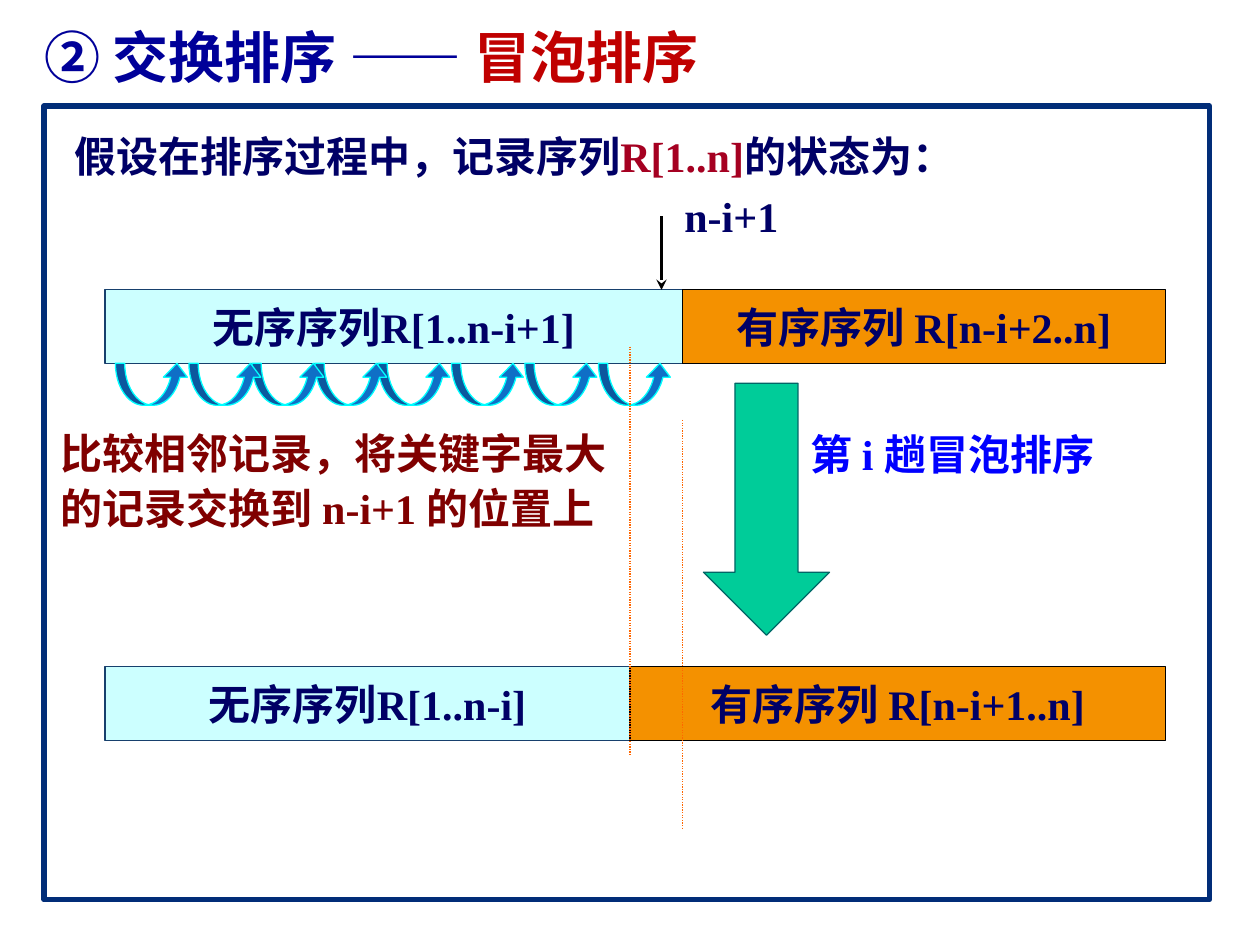
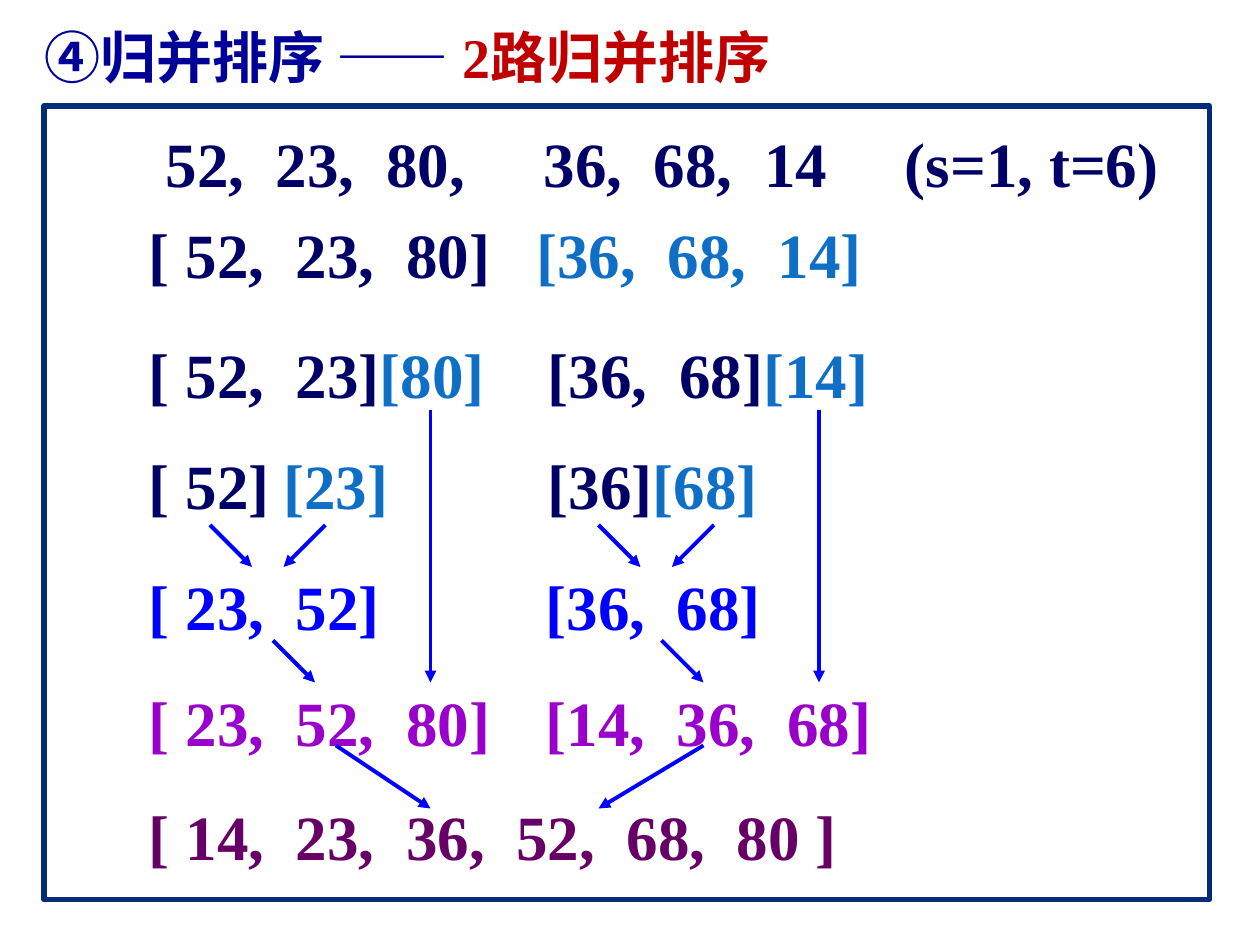
from dataclasses import dataclass

from lxml.etree import SubElement
from pptx import Presentation
from pptx.dml.color import RGBColor
from pptx.enum.dml import MSO_LINE
from pptx.enum.lang import MSO_LANGUAGE_ID as Language
from pptx.enum.shapes import MSO_CONNECTOR as Connector, MSO_SHAPE as Shape
from pptx.enum.text import MSO_ANCHOR as Anchor, MSO_AUTO_SIZE as AutoSize, PP_ALIGN as Align
from pptx.oxml.ns import qn
from pptx.util import Inches, Pt

FONT = "Times New Roman"
WHITE = RGBColor(0xFF, 0xFF, 0xFF)
BLACK = RGBColor(0, 0, 0)
FRAME_BLUE = RGBColor(0x01, 0x2D, 0x78)
TITLE_BLUE = RGBColor(0, 0, 0x99)
TITLE_RED = RGBColor(0xC0, 0, 0)
NAVY = RGBColor(0, 0, 0x66)
CRIMSON = RGBColor(0xA5, 0, 0x21)
MAROON = RGBColor(0x80, 0, 0)
BRIGHT_BLUE = RGBColor(0, 0, 0xFF)
MID_BLUE = RGBColor(0x0F, 0x6F, 0xC6)
VIOLET = RGBColor(0x99, 0, 0xCC)
PLUM = RGBColor(0x66, 0, 0x66)
PALE_CYAN = RGBColor(0xCC, 0xFF, 0xFF)
CYAN = RGBColor(0, 0xFF, 0xFF)
STEEL = RGBColor(0x17, 0x40, 0x6D)
ORANGE = RGBColor(0xF4, 0x91, 0)
GUIDE_ORANGE = RGBColor(0xFF, 0x66, 0)
GREEN = RGBColor(0, 0xCC, 0x99)
DARK_GREEN = RGBColor(0, 0x66, 0x66)

COLUMNS, ROWS = 120, 90
WIDTH, HEIGHT = Inches(10), Inches(7.5)


def column(count):
    return round(WIDTH * count / COLUMNS)


def row(count):
    return round(HEIGHT * count / ROWS)


@dataclass
class Box:
    left: float
    top: float
    width: float
    height: float

    def inner(self, left, top, width, height):
        return Box(self.left + left, self.top + top, width, height)

    def point(self, left, top):
        return column(self.left + left), row(self.top + top)

    def place(self):
        return column(self.left), row(self.top), column(self.width), row(self.height)


TITLE = Box(4.2, 1.6, 111, 7.4)
BOARD = Box(4.2, 10.1, 111, 75.6)
BAR_HEIGHT = 7


def write(para, pieces, size):
    for text, colour in pieces:
        span = para.add_run()
        span.text = text
        span.font.name = FONT
        span.font.size = Pt(size)
        span.font.bold = True
        span.font.color.rgb = colour
        span.font.language_id = Language.SIMPLIFIED_CHINESE


def add_text(page, box, pieces, size=24, spacing=None, wrap=False, tabs=()):
    frame = page.shapes.add_textbox(*box.place()).text_frame
    frame.word_wrap = wrap
    frame.auto_size = AutoSize.SHAPE_TO_FIT_TEXT
    para = frame.paragraphs[0]
    if spacing:
        para.line_spacing = spacing
    if tabs:
        stops = SubElement(para._p.get_or_add_pPr(), qn("a:tabLst"))
        for stop in tabs:
            SubElement(stops, qn("a:tab"), pos=str(column(stop)), algn="l")
    write(para, pieces, size)


def add_block(page, kind, box, fill, line, weight=0.75, label=None):
    block = page.shapes.add_shape(kind, *box.place())
    block.shadow.inherit = False
    block.fill.solid()
    block.fill.fore_color.rgb = fill
    block.line.color.rgb = line
    block.line.width = Pt(weight)
    if label:
        frame = block.text_frame
        frame.word_wrap = False
        frame.vertical_anchor = Anchor.MIDDLE
        frame.paragraphs[0].alignment = Align.CENTER
        write(frame.paragraphs[0], [(label, NAVY)], 24)
    return block


def add_line(page, start, end, colour, weight, head=None, dash=None):
    line = page.shapes.add_connector(Connector.STRAIGHT, *start, *end)
    line.line.color.rgb = colour
    line.line.width = Pt(weight)
    if dash:
        line.line.dash_style = dash
    properties = line._element.spPr
    if head:
        SubElement(properties.get_or_add_ln(), qn("a:tailEnd"), type=head)
    SubElement(properties, qn("a:effectLst"))


def add_page(deck, topic, method):
    page = deck.slides.add_slide(deck.slide_layouts[5])
    title = page.shapes.title
    title.left, title.top, title.width, title.height = TITLE.place()
    frame = title.text_frame
    frame.margin_left = frame.margin_right = frame.margin_top = frame.margin_bottom = 0
    frame.vertical_anchor = Anchor.MIDDLE
    frame.auto_size = AutoSize.NONE
    frame.paragraphs[0].alignment = Align.JUSTIFY
    write(frame.paragraphs[0], [(topic + " —— ", TITLE_BLUE), (method, TITLE_RED)], 32)
    add_block(page, Shape.RECTANGLE, BOARD, WHITE, FRAME_BLUE, 3)
    return page


def sequence_bar(page, box, split, unsorted, ordered):
    add_block(page, Shape.RECTANGLE, box.inner(0, 0, split, box.height),
              PALE_CYAN, STEEL, label=unsorted)
    add_block(page, Shape.RECTANGLE, box.inner(split, 0, box.width - split, box.height),
              ORANGE, BLACK, label=ordered)


def swap_arrows(page, box):
    for left in (47, 40, 33, 26, 20, 14, 8, 1):
        arrow = add_block(page, Shape.CURVED_UP_ARROW, box.inner(left, 0, 7, box.height),
                          MID_BLUE, CYAN)
        for index, value in enumerate((0.22, 0.57, 0.33)):
            arrow.adjustments[index] = value


def bubble_pass(page, box):
    before, after = 55, 50
    second = 35.9
    sequence_bar(page, box.inner(0, 0, box.width, BAR_HEIGHT), before,
                 "无序序列R[1..n-i+1]", "有序序列 R[n-i+2..n]")
    sequence_bar(page, box.inner(0, second, box.width, BAR_HEIGHT), after,
                 "无序序列R[1..n-i]", "有序序列 R[n-i+1..n]")
    add_line(page, box.point(53, -7), box.point(53, 0), BLACK, 1.5, "stealth")
    add_text(page, box.inner(54, -10, 11.4, 6), [("n-i+1", NAVY)])
    add_block(page, Shape.DOWN_ARROW, box.inner(57, 8.9, 12, 24), GREEN, DARK_GREEN)
    add_text(page, box.inner(66, 11.9, 35, 6.8),
             [("第 i 趟冒泡排序", BRIGHT_BLUE)], spacing=1.15, wrap=True)
    add_text(page, box.inner(-5.4, 12, 55.2, 11.9),
             [("比较相邻记录\uff0c将关键字最大的记录交换到 n-i+1 的位置上", MAROON)],
             spacing=1.1, wrap=True)
    swap_arrows(page, box.inner(0, BAR_HEIGHT, before, 4))
    for split, top in ((before, 12.4), (after, 5.4)):
        add_line(page, box.point(split, top), box.point(split, top + 39),
                 GUIDE_ORANGE, 0.75, dash=MSO_LINE.ROUND_DOT)


def merge_half(page, box, entries):
    for left, top, width, pieces in entries:
        add_text(page, box.inner(left, top, width, 8.5), pieces, 36)
    for start, end in (((7, 20), (11, 24)), ((18, 20), (14, 24)),
                       ((13, 31), (17, 35)), ((28, 9), (28, 35))):
        add_line(page, box.point(*start), box.point(*end), BRIGHT_BLUE, 2.25, "triangle")


def merge_steps(page, box):
    add_text(page, box.inner(1.6, -18.7, 98, 8.5),
             [("52,  23,  80,\t36,  68,  14\t(s=1, t=6)", NAVY)], 36, tabs=(36, 70.4))
    add_text(page, box.inner(0, -10.1, 71, 8.5),
             [("[ 52,  23,  80]\t", NAVY), ("[36,  68,  14]", MID_BLUE)], 36, tabs=(36.9,))
    split, single, pair, merged = 1.4, 11.9, 23.5, 34.5
    merge_half(page, box, [
        (0, split, 34.7, [("[ 52,  23]", NAVY), ("[80]", MID_BLUE)]),
        (0, single, 15, [("[ 52]", NAVY)]),
        (12.8, single, 12.5, [("[23]", MID_BLUE)]),
        (0, pair, 24.6, [("[ 23,  52]", BRIGHT_BLUE)]),
        (0, merged, 35.3, [("[ 23,  52,  80]", VIOLET)]),
    ])
    merge_half(page, box.inner(37, 0, 37, box.height), [
        (1, split, 33.2, [("[36,  68]", NAVY), ("[14]", MID_BLUE)]),
        (1, single, 22.6, [("[36]", NAVY), ("[68]", MID_BLUE)]),
        (0.8, pair, 23.2, [("[36,  68]", BRIGHT_BLUE)]),
        (0.8, merged, 33.7, [("[14,  36,  68]", VIOLET)]),
    ])
    add_text(page, box.inner(0, 45.4, 68.5, 8.5),
             [("[ 14,  23,  36,  52,  68,  80 ]", PLUM)], 36)
    for start, end in ((19, 28), (54, 44)):
        add_line(page, box.point(start, 41), box.point(end, 47), BRIGHT_BLUE, 2.25, "triangle")


deck = Presentation()
deck.slide_width, deck.slide_height = WIDTH, HEIGHT

bubble = add_page(deck, "② 交换排序", "冒泡排序")
add_text(bubble, BOARD.inner(1.7, 0.8, 88.2, 7.1),
         [("假设在排序过程中\uff0c记录序列", NAVY), ("R[1..n]", CRIMSON),
          ("的状态为\uff1a", NAVY)], spacing=1.2, wrap=True)
bubble_pass(bubble, BOARD.inner(5.8, 17.5, 101, 43))

merge = add_page(deck, "④归并排序", "2路归并排序")
merge_steps(merge, BOARD.inner(8.8, 19.9, 74, 54))

deck.save("out.pptx")
